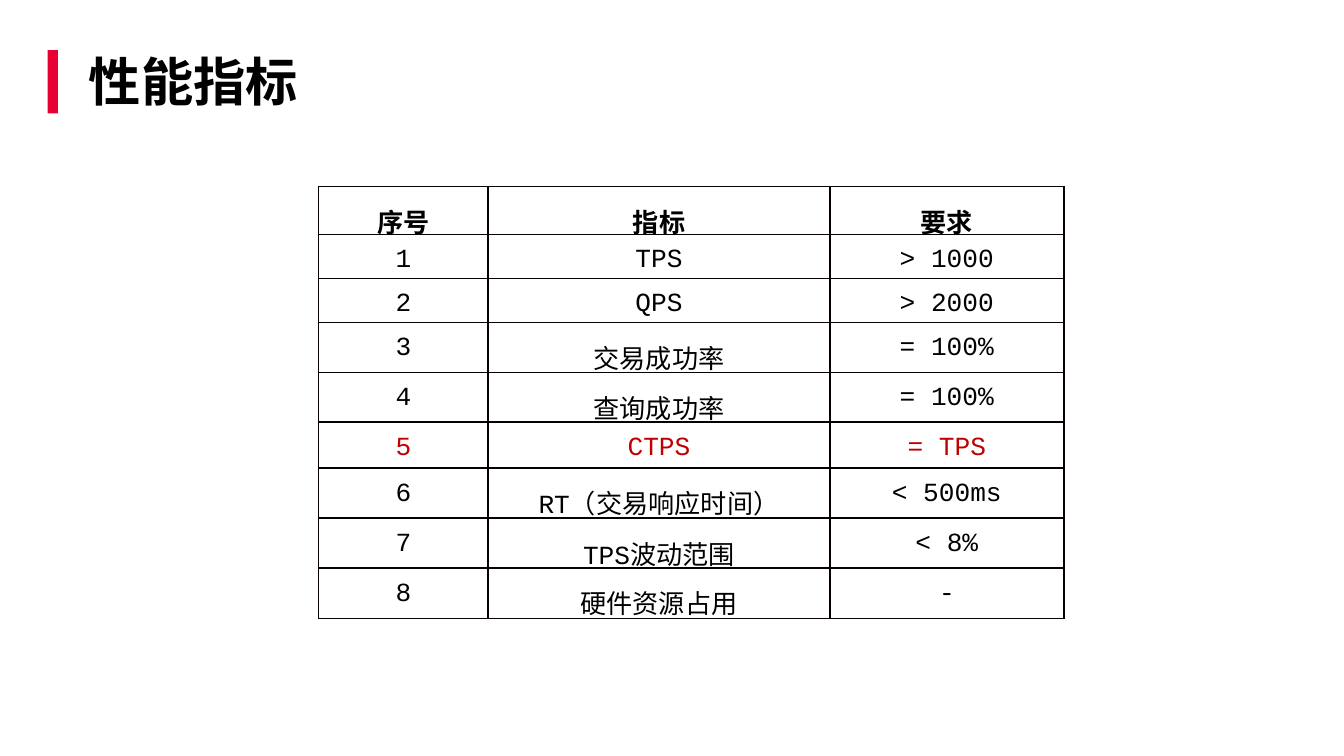
from pptx import Presentation
from pptx.dml.color import RGBColor
from pptx.enum.shapes import MSO_SHAPE
from pptx.enum.text import MSO_ANCHOR, MSO_AUTO_SIZE, PP_ALIGN
from pptx.oxml.ns import qn
from pptx.util import Pt
from lxml.etree import SubElement

BLACK = RGBColor(0x00, 0x00, 0x00)
WHITE = RGBColor(0xFF, 0xFF, 0xFF)
CRIMSON = RGBColor(0xE6, 0x00, 0x33)
DARK_RED = RGBColor(0xC0, 0x00, 0x00)
BORDER = RGBColor(0x08, 0x00, 0x00)
SANS = "Noto Sans CJK SC"
MONO = "Courier New"

HEADER = ("序号", "指标", "要求")
METRICS = [
    ("TPS", "> 1000"),
    ("QPS", "> 2000"),
    ("交易成功率", "= 100%"),
    ("查询成功率", "= 100%"),
    ("CTPS", "= TPS"),
    ("RT（交易响应时间）", "< 500ms"),
    ("TPS波动范围", "< 8%"),
    ("硬件资源占用", "-"),
]
KEY_METRIC = "CTPS"
COL_WIDTHS = (91, 183, 125.4)
ROW_HEIGHTS = (25.6, 23.5, 23.5, 26.8, 26.6, 24.6, 27, 26.7, 27)


def write_text(tf, text, font=MONO, size=14, color=BLACK, bold=False,
               align=PP_ALIGN.LEFT, spacing=None):
    p = tf.paragraphs[0]
    p.alignment = align
    p.line_spacing = spacing
    r = p.add_run()
    r.text = text
    r.font.name = font
    r.font.size = Pt(size)
    r.font.bold = bold
    r.font.color.rgb = color
    # Chinese characters always use the sans face
    SubElement(r.font._element, qn("a:ea"), typeface=SANS)


class SlideBuilder:
    def __init__(self, slide):
        self.s = slide
        self.border_color = BORDER
        self.border_width = Pt(1)

    def background(self, color):
        fill = self.s.background.fill
        fill.solid()
        fill.fore_color.rgb = color

    def bar(self, left, top, width, height, color):
        sp = self.s.shapes.add_shape(MSO_SHAPE.RECTANGLE, Pt(left), Pt(top),
                                     Pt(width), Pt(height))
        sp.shadow.inherit = False
        sp.fill.solid()
        sp.fill.fore_color.rgb = color
        sp.line.fill.background()

    def title(self, text, left, top, width, height):
        sp = self.s.shapes.title
        sp.left, sp.top, sp.width, sp.height = map(Pt, (left, top, width, height))
        tf = sp.text_frame
        tf.word_wrap = True
        tf.auto_size = MSO_AUTO_SIZE.SHAPE_TO_FIT_TEXT
        tf.vertical_anchor = MSO_ANCHOR.TOP
        tf.margin_left = tf.margin_right = Pt(3.6)
        tf.margin_top = tf.margin_bottom = Pt(3.6)
        write_text(tf, text, font=SANS, size=28, bold=True)

    def cell_borders(self, cell):
        tc_pr = cell._tc.get_or_add_tcPr()
        for side in ("lnL", "lnR", "lnT", "lnB"):
            ln = SubElement(tc_pr, qn(f"a:{side}"), w=str(self.border_width))
            fill = SubElement(ln, qn("a:solidFill"))
            SubElement(fill, qn("a:srgbClr"), val=str(self.border_color))

    def table(self, rows, left, top, widths, heights):
        frame = self.s.shapes.add_table(len(rows), len(widths), Pt(left), Pt(top),
                                        Pt(sum(widths)), Pt(sum(heights)))
        table = frame.table
        table.first_row = table.horz_banding = False
        for column, width in zip(table.columns, widths):
            column.width = Pt(width)
        for i, (row, height) in enumerate(zip(rows, heights)):
            table.rows[i].height = Pt(height)
            color = DARK_RED if KEY_METRIC in row else BLACK
            for j, text in enumerate(row):
                cell = table.cell(i, j)
                cell.margin_left = cell.margin_right = Pt(5)
                cell.margin_top = cell.margin_bottom = 0
                self.cell_borders(cell)
                cell.fill.background()
                write_text(cell.text_frame, text, color=color, bold=i == 0,
                           align=PP_ALIGN.CENTER, spacing=1.4)


def main():
    prs = Presentation()
    prs.slide_width, prs.slide_height = Pt(720), Pt(405)
    b = SlideBuilder(prs.slides.add_slide(prs.slide_layouts[5]))
    b.background(WHITE)

    # Heading with its accent bar
    b.bar(25.5, 26.8, 5.6, 34, CRIMSON)
    b.title("性能指标", 44, 23, 126.7, 41)

    # Performance metrics, numbered from 1
    rows = [HEADER] + [(str(n), *metric) for n, metric in enumerate(METRICS, 1)]
    b.table(rows, 170.6, 100, COL_WIDTHS, ROW_HEIGHTS)

    prs.save("out.pptx")


if __name__ == "__main__":
    main()
